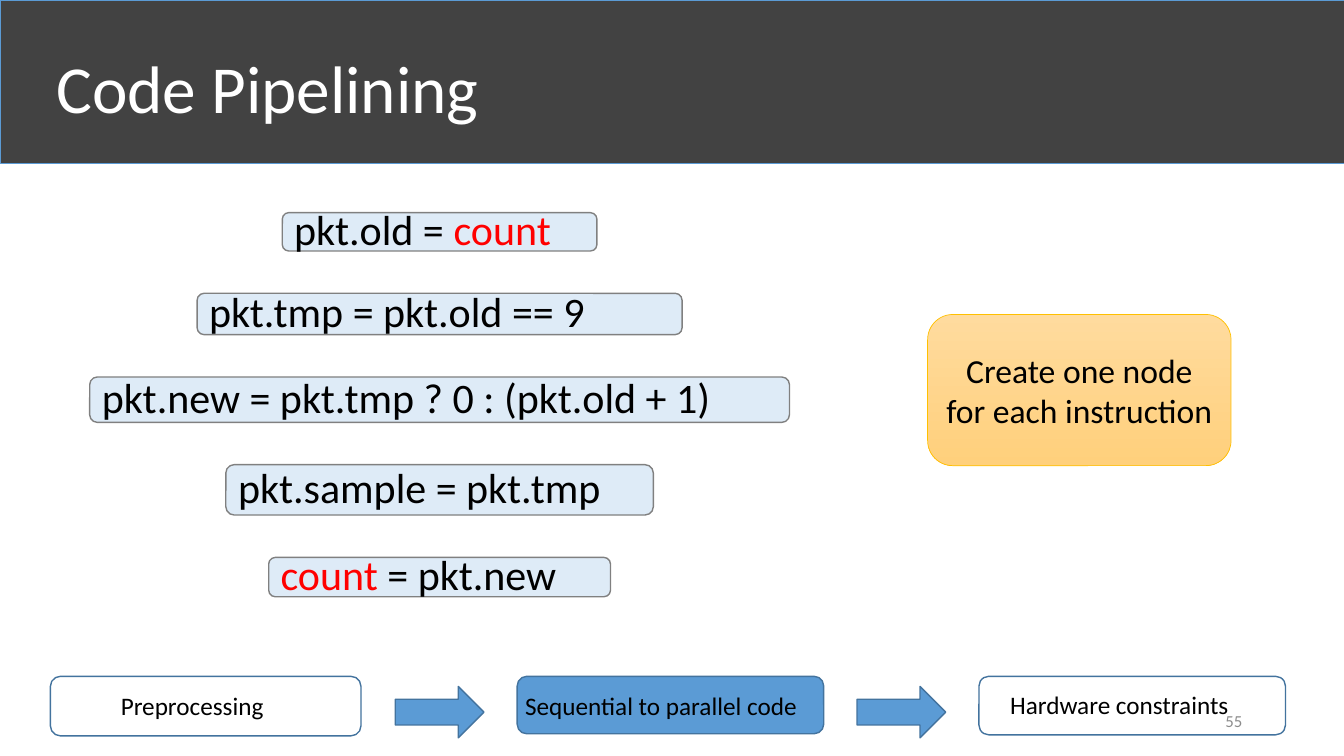
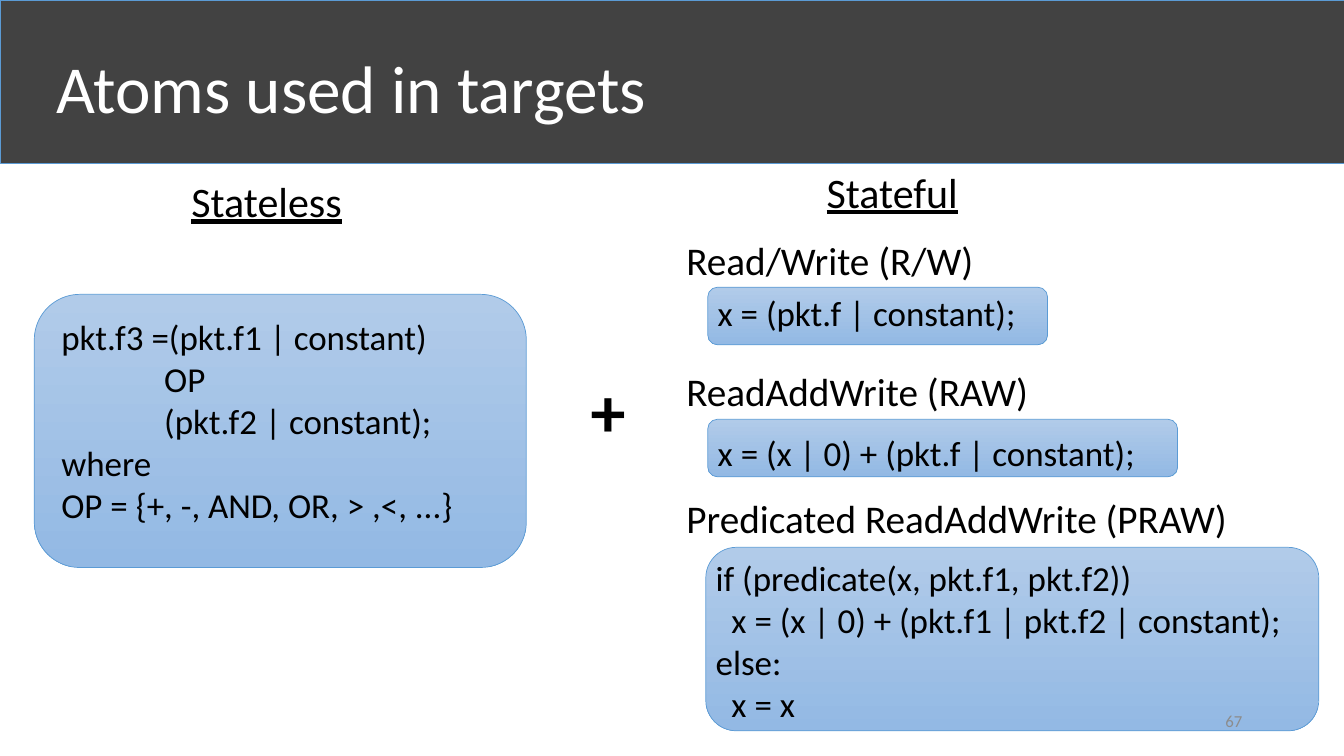
from dataclasses import dataclass
from typing import Optional

from pptx import Presentation
from pptx.dml.color import RGBColor
from pptx.enum.shapes import MSO_SHAPE
from pptx.enum.text import MSO_ANCHOR, PP_ALIGN
from pptx.shapes.autoshape import Shape
from pptx.slide import Slide
from pptx.util import Inches, Pt


@dataclass(frozen=True)
class Theme:
    font: str = "Calibri"
    white: str = "FFFFFF"
    black: str = "000000"
    red: str = "FF0000"
    band: str = "424242"
    blue: str = "5B9BD5"
    navy: str = "43739E"
    pale: str = "DEEBF7"
    grey: str = "808080"
    faint: str = "8C8C8C"
    gold: str = "FFC000"
    amber: tuple[str, str] = ("FFDB9E", "FFD07C")
    sky: tuple[str, str] = ("B1CBE9", "93B9E4")
    title: float = 48
    plus: float = 50
    head: float = 30
    label: float = 28
    code: float = 25
    call: float = 24
    step: float = 18
    page: float = 12


@dataclass(frozen=True)
class Box:
    left: float
    top: float
    width: float
    height: float

    def spot(self) -> tuple[int, ...]:
        sides = (self.left, self.top, self.width, self.height)
        return tuple(Inches(side) for side in sides)


@dataclass(frozen=True)
class Run:
    text: str
    color: str


@dataclass(frozen=True)
class Node:
    runs: tuple[Run, ...]
    width: float
    height: float


@dataclass(frozen=True)
class Step:
    box: Box
    text: str
    place: Box
    fill: Optional[str] = None


@dataclass(frozen=True)
class Panel:
    box: Box
    place: Box
    lines: tuple[str, ...]


@dataclass(frozen=True)
class Label:
    text: str
    box: Box
    size: float
    style: dict[str, bool]


LOOK = Theme()
BAND = Box(0, 0, 13.33, 1.62)
TITLE = Box(0.46, 0.13, 11.5, 1.45)
PAGE = Box(9.42, 6.95, 3, 0.4)
CALL = Box(9.2, 3.12, 3.01, 1.5)

NODES = (
    Node((Run("pkt.old = ", LOOK.black), Run("count", LOOK.red)), 3.12, 0.38),
    Node((Run("pkt.tmp = pkt.old == 9", LOOK.black),), 4.81, 0.41),
    Node((Run("pkt.new = pkt.tmp ? 0 : (pkt.old + 1)", LOOK.black),), 6.94, 0.45),
    Node((Run("pkt.sample = pkt.tmp", LOOK.black),), 4.24, 0.5),
    Node((Run("count", LOOK.red), Run(" = pkt.new", LOOK.black)), 3.39, 0.39),
)
MIDDLE, FIRST, GAP = 4.36, 2.11, 0.42

STEPS = (
    Step(Box(0.5, 6.71, 3.08, 0.59), "Preprocessing", Box(1.1, 6.8, 1.76, 0.4)),
    Step(Box(5.13, 6.71, 3.04, 0.57), "Sequential to parallel code",
         Box(5.11, 6.8, 3.27, 0.4), LOOK.blue),
    Step(Box(9.71, 6.71, 3.04, 0.58), "Hardware constraints",
         Box(9.92, 6.79, 2.55, 0.4)),
)
ARROW, PITCH = Box(3.92, 6.81, 0.88, 0.51), 4.58

PANELS = (
    Panel(Box(0.34, 2.92, 4.88, 2.71), Box(0.51, 3.08, 5.49, 2.2),
          ("pkt.f3 =(pkt.f1 | constant)",
           "             OP",
           "             (pkt.f2 | constant);",
           "where",
           "OP = {+, -, AND, OR, > ,<, ...}")),
    Panel(Box(7.02, 2.85, 3.37, 0.57), Box(7.02, 2.84, 3.37, 0.52),
          ("x = (pkt.f | constant);",)),
    Panel(Box(7.02, 4.16, 4.66, 0.57), Box(7.02, 4.23, 5.49, 0.52),
          ("x = (x | 0) + (pkt.f | constant);",)),
    Panel(Box(7, 5.43, 6.08, 1.82), Box(7, 5.47, 6.33, 1.78),
          ("if (predicate(x, pkt.f1, pkt.f2))",
           "  x = (x | 0) + (pkt.f1 | pkt.f2 | constant);",
           "else:",
           "  x = x")),
)
LINE, BOLD, PLAIN = {"underline": True}, {"bold": True}, {}
LABELS = (
    Label("Stateless", Box(1.8, 1.69, 1.83, 0.61), LOOK.head, LINE),
    Label("Stateful", Box(8.1, 1.6, 1.65, 0.61), LOOK.head, LINE),
    Label("Read/Write (R/W)", Box(6.71, 2.3, 3.25, 0.57), LOOK.label, PLAIN),
    Label("ReadAddWrite (RAW)", Box(6.71, 3.59, 3.86, 0.57), LOOK.label, PLAIN),
    Label("Predicated ReadAddWrite (PRAW)", Box(6.71, 4.85, 5.91, 0.57),
          LOOK.label, PLAIN),
    Label("+", Box(5.76, 3.6, 0.62, 0.94), LOOK.plus, BOLD),
)


def draw(slide: Slide, kind: MSO_SHAPE, box: Box,
         fill: str | tuple[str, str] | None, edge: str, weight: float) -> Shape:
    shape = slide.shapes.add_shape(kind, *box.spot())
    shape.shadow.inherit = False
    if fill is None:
        shape.fill.background()
    elif isinstance(fill, tuple):
        shape.fill.gradient()
        shape.fill.gradient_angle = 270
        for stop, shade in zip(shape.fill.gradient_stops, fill):
            stop.color.rgb = RGBColor.from_string(shade)
    else:
        shape.fill.solid()
        shape.fill.fore_color.rgb = RGBColor.from_string(fill)
    shape.line.color.rgb = RGBColor.from_string(edge)
    shape.line.width = Pt(weight)
    return shape


def write(shape: Shape, lines: tuple[tuple[Run, ...], ...], size: float,
          style: dict[str, bool] = PLAIN, align: PP_ALIGN = PP_ALIGN.LEFT,
          anchor: MSO_ANCHOR = MSO_ANCHOR.MIDDLE, space: float = 1.0) -> None:
    frame = shape.text_frame
    for key, value in {"word_wrap": True, "vertical_anchor": anchor}.items():
        setattr(frame, key, value)
    form = {"name": LOOK.font, "size": Pt(size), **style}
    for place, line in enumerate(lines):
        para = frame.add_paragraph() if place else frame.paragraphs[0]
        for key, value in {"alignment": align, "line_spacing": space}.items():
            setattr(para, key, value)
        for part in line:
            run = para.add_run()
            run.text = part.text
            for key, value in form.items():
                setattr(run.font, key, value)
            run.font.color.rgb = RGBColor.from_string(part.color)


def put(slide: Slide, box: Box, lines: tuple[str, ...], size: float,
        color: str = LOOK.black, style: dict[str, bool] = PLAIN,
        align: PP_ALIGN = PP_ALIGN.LEFT,
        anchor: MSO_ANCHOR = MSO_ANCHOR.TOP) -> None:
    rows = tuple((Run(line, color),) for line in lines)
    write(slide.shapes.add_textbox(*box.spot()), rows, size, style, align, anchor)


def start(deck: Presentation, title: str) -> Slide:
    slide = deck.slides.add_slide(deck.slide_layouts[6])
    draw(slide, MSO_SHAPE.RECTANGLE, BAND, LOOK.band, LOOK.blue, 0.5)
    put(slide, TITLE, (title,), LOOK.title, LOOK.white, anchor=MSO_ANCHOR.MIDDLE)
    return slide


def finish(slide: Slide, page: str) -> None:
    put(slide, PAGE, (page,), LOOK.page, LOOK.faint, align=PP_ALIGN.RIGHT,
        anchor=MSO_ANCHOR.MIDDLE)


def coding(deck: Presentation) -> None:
    slide = start(deck, "Code Pipelining")
    call = draw(slide, MSO_SHAPE.ROUNDED_RECTANGLE, CALL, LOOK.amber, LOOK.gold, 0.5)
    note = Run("Create one node for each instruction", LOOK.black)
    write(call, ((note,),), LOOK.call, align=PP_ALIGN.CENTER)
    top = FIRST
    for node in NODES:
        box = Box(MIDDLE - node.width / 2, top, node.width, node.height)
        shape = draw(slide, MSO_SHAPE.ROUNDED_RECTANGLE, box, LOOK.pale, LOOK.grey, 1)
        write(shape, (node.runs,), LOOK.head, space=0.9)
        top += node.height + GAP
    for step in STEPS:
        draw(slide, MSO_SHAPE.ROUNDED_RECTANGLE, step.box, step.fill, LOOK.navy, 1)
        put(slide, step.place, (step.text,), LOOK.step)
    for turn in range(len(STEPS) - 1):
        box = Box(ARROW.left + turn * PITCH, ARROW.top, ARROW.width, ARROW.height)
        draw(slide, MSO_SHAPE.RIGHT_ARROW, box, LOOK.blue, LOOK.navy, 1)
    finish(slide, "55")


def atoms(deck: Presentation) -> None:
    slide = start(deck, "Atoms used in targets")
    for panel in PANELS:
        draw(slide, MSO_SHAPE.ROUNDED_RECTANGLE, panel.box, LOOK.sky, LOOK.blue, 0.5)
        put(slide, panel.place, panel.lines, LOOK.code)
    for label in LABELS:
        put(slide, label.box, (label.text,), label.size, style=label.style)
    finish(slide, "67")


def main() -> None:
    deck = Presentation()
    deck.slide_width, deck.slide_height = Inches(13.33), Inches(7.5)
    coding(deck)
    atoms(deck)
    deck.save("out.pptx")


if __name__ == "__main__":
    main()
